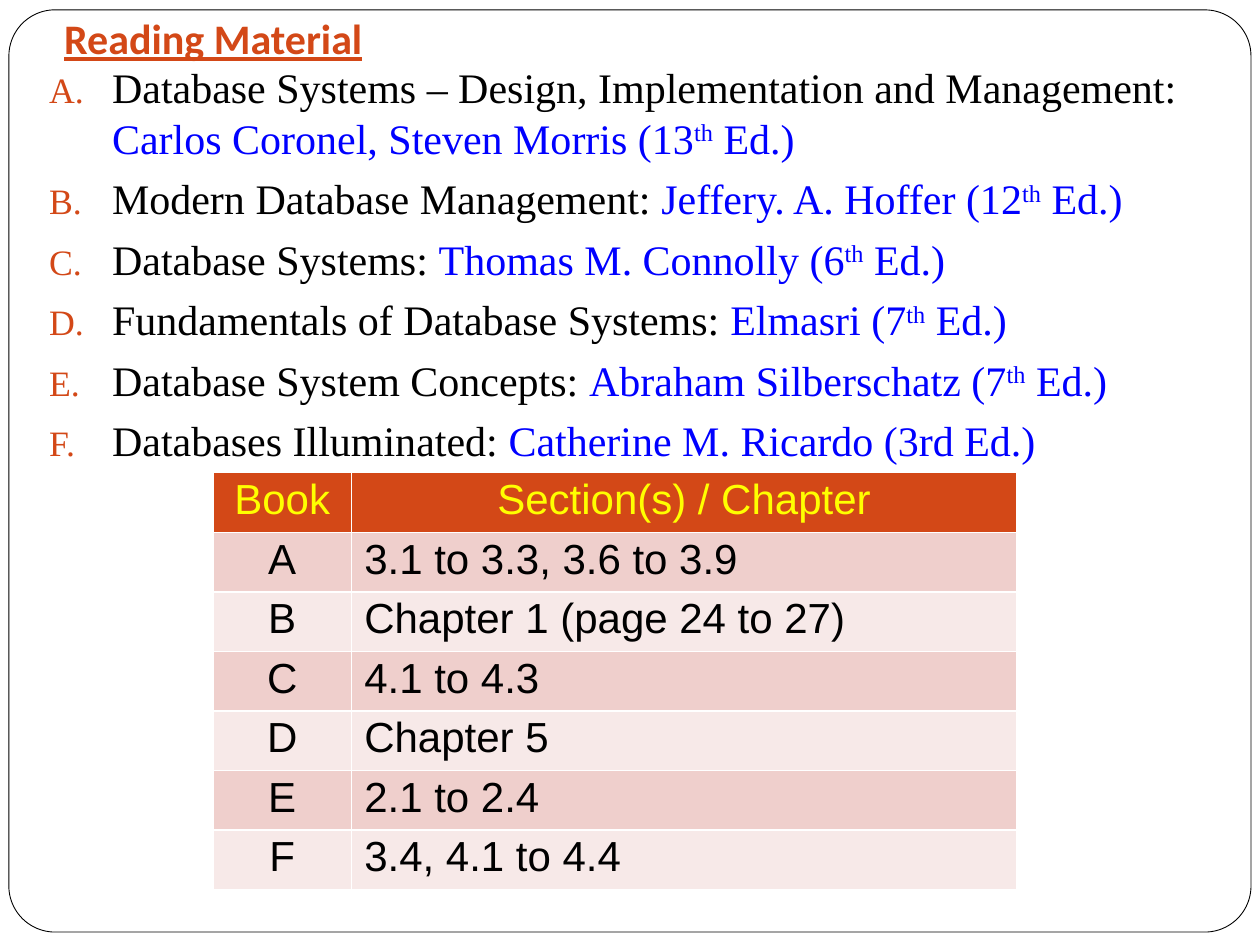
from pptx import Presentation
from pptx.dml.color import RGBColor
from pptx.enum.shapes import MSO_SHAPE
from pptx.enum.text import MSO_ANCHOR, PP_ALIGN
from pptx.oxml.ns import qn
from pptx.util import Cm, Pt
from lxml import etree

ROUND = MSO_SHAPE.ROUNDED_RECTANGLE
BOTTOM = MSO_ANCHOR.BOTTOM
LEFT, CENTER = PP_ALIGN.LEFT, PP_ALIGN.CENTER

RUST, BLUE, BLACK, WHITE, YELLOW = "D34817", "0000FF", "000000", "FFFFFF", "FFFF00"
BANDS = ["EFCFCC", "F7E9E8"]
SERIF, SANS, HEAD = "Times New Roman", "Arial", "Calibri"

BOOKS = [
    ("Database Systems – Design, Implementation and Management: ",
     "Carlos Coronel, Steven Morris (13", "th", " Ed.)"),
    ("Modern Database Management: ", "Jeffery. A. Hoffer (12", "th", " Ed.)"),
    ("Database Systems: ", "Thomas M. Connolly (6", "th", " Ed.)"),
    ("Fundamentals of Database Systems: ", "Elmasri (7", "th", " Ed.)"),
    ("Database System Concepts: ", "Abraham Silberschatz (7", "th", " Ed.)"),
    ("Databases Illuminated: ", "Catherine M. Ricardo (3rd Ed.)"),
]
ROWS = [
    ("Book", "Section(s) / Chapter"),
    ("A", "3.1 to 3.3, 3.6 to 3.9"),
    ("B", "Chapter 1 (page 24 to 27)"),
    ("C", "4.1 to 4.3"),
    ("D", "Chapter 5"),
    ("E", "2.1 to 2.4"),
    ("F", "3.4, 4.1 to 4.4"),
]
COLS = [2.8, 13.4]
ROW = 1.2


def rgb(code):
    return RGBColor.from_string(code)


def box(*sides):
    return [Cm(side) for side in sides]


def add_run(para, text, face, color, bold=False):
    run = para.add_run()
    run.text = text
    font = run.font
    font.name, font.size, font.bold = face, Pt(24), bold
    font.color.rgb = rgb(color)
    return font


def number(para):
    props = para._p.get_or_add_pPr()
    props.set("marL", str(Cm(1.27)))
    props.set("indent", str(Cm(-1.27)))
    tint = etree.SubElement(props, qn("a:buClr"))
    etree.SubElement(tint, qn("a:srgbClr"), val=RUST)
    etree.SubElement(props, qn("a:buSzPct"), val="85000")
    etree.SubElement(props, qn("a:buFont"), typeface=SERIF)
    etree.SubElement(props, qn("a:buAutoNum"), type="alphaUcPeriod")


def add_frame(slide):
    frame = slide.shapes.add_shape(ROUND, *box(0.18, 0.2, 25.04, 18.59))
    frame.adjustments[0] = 0.05
    frame.shadow.inherit = False
    frame.fill.solid()
    frame.fill.fore_color.rgb = rgb(WHITE)
    frame.line.color.rgb = rgb(BLACK)
    frame.line.width = Pt(0.5)


def add_title(slide):
    title = slide.shapes.title
    slide.shapes.element.append(title.element)
    title.left, title.top, title.width, title.height = box(1.04, 0.25, 19.13, 1.27)
    text = title.text_frame
    text.vertical_anchor = BOTTOM
    text.margin_bottom = Cm(0.25)
    para = text.paragraphs[0]
    para.alignment = LEFT
    add_run(para, "Reading Material", HEAD, RUST, True).underline = True


def add_books(slide):
    text = slide.shapes.add_textbox(*box(0.74, 1.12, 23.93, 8.51)).text_frame
    text.word_wrap = True
    for i, (name, *parts) in enumerate(BOOKS):
        para = text.add_paragraph() if i else text.paragraphs[0]
        number(para)
        if i:
            para.space_before = Pt(5.8)
        add_run(para, name, SERIF, BLACK)
        for part in parts:
            font = add_run(para, part, SERIF, BLUE)
            if part == "th":
                font._element.set("baseline", "30000")


def add_grid(slide):
    size = box(4.29, 9.53, sum(COLS), ROW * len(ROWS))
    grid = slide.shapes.add_table(len(ROWS), len(COLS), *size).table
    for col, width in zip(grid.columns, COLS):
        col.width = Cm(width)
    for r, row in enumerate(ROWS):
        grid.rows[r].height = Cm(ROW)
        for c, text in enumerate(row):
            cell = grid.cell(r, c)
            cell.margin_top = cell.margin_bottom = Cm(0.08)
            cell.fill.solid()
            cell.fill.fore_color.rgb = rgb(BANDS[(r - 1) % 2] if r else RUST)
            para = cell.text_frame.paragraphs[0]
            para.alignment = LEFT if r and c else CENTER
            add_run(para, text, SANS, BLACK if r else YELLOW)


def main():
    deck = Presentation()
    deck.slide_width, deck.slide_height = box(25.4, 19.05)
    slide = deck.slides.add_slide(deck.slide_layouts[5])
    add_frame(slide)
    add_title(slide)
    add_books(slide)
    add_grid(slide)
    deck.save("out.pptx")


if __name__ == "__main__":
    main()
